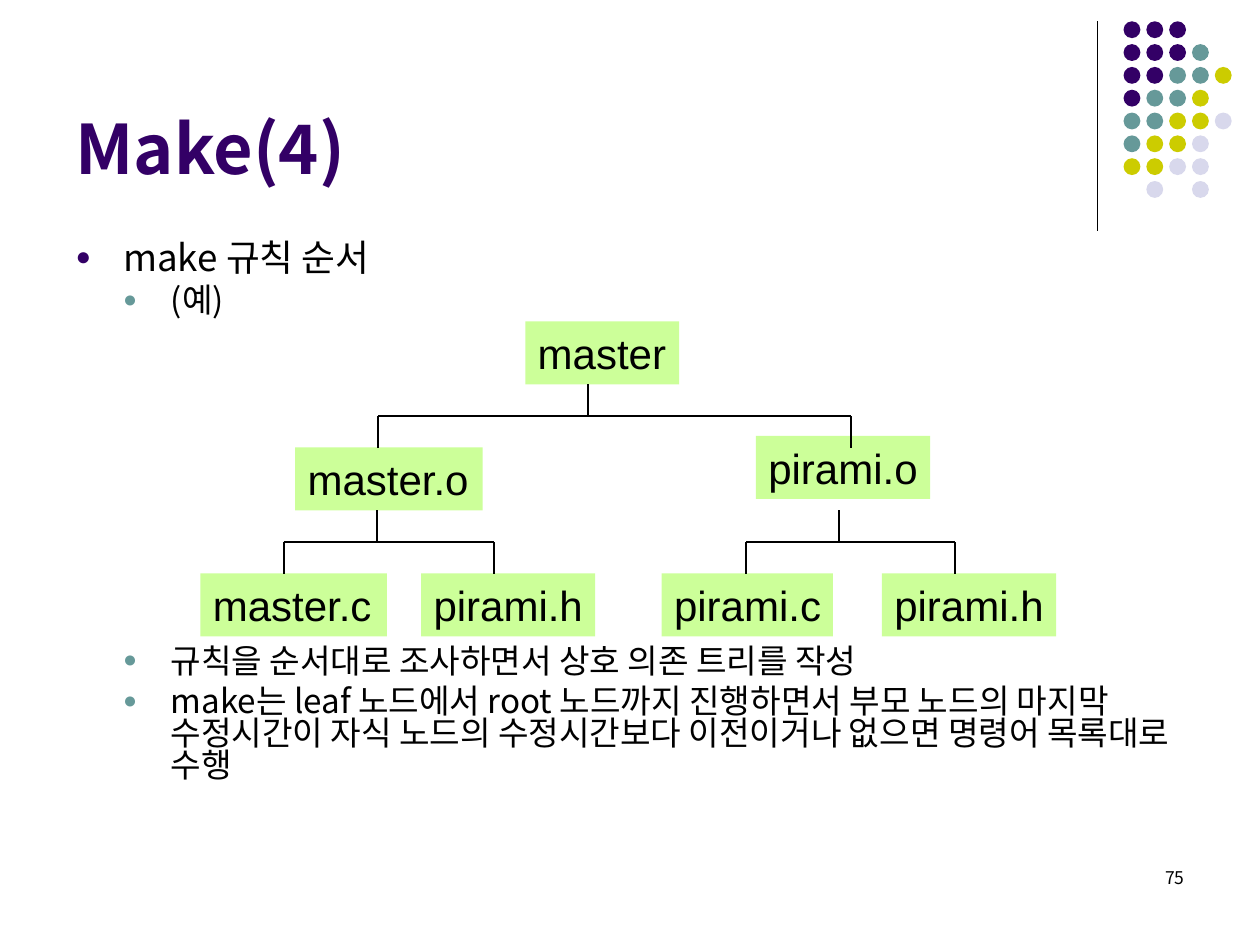
import pptx
import pptx.util
import pptx.dml.color
import pptx.enum.shapes
import pptx.enum.text
import pptx.oxml
import pptx.oxml.ns

Cm = pptx.util.Cm
Pt = pptx.util.Pt
ALIGN = pptx.enum.text.PP_ALIGN
ANCHOR = pptx.enum.text.MSO_ANCHOR
SHAPE = pptx.enum.shapes.MSO_SHAPE
KOREAN = "Noto Sans CJK KR"

COLORS = {
    "purple": "330066",
    "teal": "669999",
    "olive": "CCCC00",
    "lilac": "D8D8EC",
    "green": "CCFF99",
    "black": "000000",
}


def rgb(name):
    return pptx.dml.color.RGBColor.from_string(COLORS[name])


def add_child(parent, tag, **attrs):
    el = pptx.oxml.parse_xml(f"<a:{tag} {pptx.oxml.ns.nsdecls('a')}/>")
    for key, value in attrs.items():
        el.set(key, value)
    parent.append(el)
    return el


def write(p, text, size=19, font=KOREAN, color="black", bold=False, align=ALIGN.LEFT):
    p.alignment = align
    r = p.add_run()
    r.text = text
    r.font.size = Pt(size)
    r.font.bold = bold
    r.font.name = font
    r.font.color.rgb = rgb(color)
    add_child(r._r.get_or_add_rPr(), "ea", typeface=font)


def place(sp, x, y, w, h):
    sp.left, sp.top, sp.width, sp.height = Cm(x), Cm(y), Cm(w), Cm(h)


def add_line(s, x1, y1, x2, y2, width=1):
    line = s.shapes.add_connector(
        pptx.enum.shapes.MSO_CONNECTOR.STRAIGHT, Cm(x1), Cm(y1), Cm(x2), Cm(y2))
    line.line.color.rgb = rgb("black")
    line.line.width = Pt(width)
    add_child(line._element.spPr, "effectLst")


def add_filled(s, kind, x, y, w, h, color):
    sp = s.shapes.add_shape(kind, Cm(x), Cm(y), Cm(w), Cm(h))
    sp.shadow.inherit = False
    sp.fill.solid()
    sp.fill.fore_color.rgb = rgb(color)
    sp.line.fill.background()
    return sp


def add_ornament(s, x, y):
    add_line(s, x, y, x, y + 4.22, 0.75)
    rows = ["PPP", "PPPT", "PPTTO", "PTTO", "TTOOL", "TOOL", "OOLL", " L L"]
    names = {"P": "purple", "T": "teal", "O": "olive", "L": "lilac"}
    for i, row in enumerate(rows):
        for j, key in enumerate(row):
            if key in names:
                add_filled(s, SHAPE.OVAL, x + 0.53 + j * 0.46, y + i * 0.46,
                           0.34, 0.34, names[key])


def add_title(s, x, y, w, h):
    sp = s.shapes.title
    place(sp, x, y, w, h)
    tf = sp.text_frame
    tf.auto_size = pptx.enum.text.MSO_AUTO_SIZE.NONE
    tf.vertical_anchor = ANCHOR.BOTTOM
    write(tf.paragraphs[0], "Make(4)", size=39, color="purple", bold=True)


def add_body(s, x, y, w, h):
    sp = s.placeholders[1]
    place(sp, x, y, w, h)
    tf = sp.text_frame
    tf.auto_size = pptx.enum.text.MSO_AUTO_SIZE.NONE
    tf.vertical_anchor = ANCHOR.TOP
    items = [
        (0, 0, "make 규칙 순서"),
        (1, 4.8, "(예)"),
        (1, 188, "규칙을 순서대로 조사하면서 상호 의존 트리를 작성"),
        (1, 4.8, "make는 leaf 노드에서 root 노드까지 진행하면서 부모 노드의 마지막 "
                 "수정시간이 자식 노드의 수정시간보다 이전이거나 없으면 명령어 목록대로 수행"),
    ]
    for i, (level, gap, text) in enumerate(items):
        p = tf.add_paragraph() if i else tf.paragraphs[0]
        p.level = level
        pPr = p._p.get_or_add_pPr()
        pPr.set("marL", str(Cm(0.96 * (level + 1))))
        pPr.set("indent", str(-Cm(0.96)))
        add_child(add_child(pPr, "buClr"), "srgbClr", val=COLORS["teal" if level else "purple"])
        add_child(pPr, "buSzPct", val="70000")
        add_child(pPr, "buFont", typeface="Arial")
        add_child(pPr, "buChar", char="●")
        p.line_spacing = 0.8
        p.space_before = Pt(gap)
        write(p, text, size=19 if level else 21)


def add_tree(s, x, y):
    nodes = [
        ("master", 6.55, 0, 3.1),
        ("master.o", 1.91, 2.54, 3.78),
        ("pirami.o", 11.2, 2.31, 3.51),
        ("master.c", 0, 5.08, 3.76),
        ("pirami.h", 4.45, 5.08, 3.51),
        ("pirami.c", 9.3, 5.08, 3.45),
        ("pirami.h", 13.74, 5.08, 3.51),
    ]
    for text, dx, dy, w in nodes:
        sp = add_filled(s, SHAPE.RECTANGLE, x + dx, y + dy, w, 1.27, "green")
        tf = sp.text_frame
        tf.word_wrap = False
        tf.vertical_anchor = ANCHOR.TOP
        write(tf.paragraphs[0], text, size=24, font="Arial")

    drop = 0.64
    branches = [(7.82, 3.58, 13.11, 1.27), (3.56, 1.68, 5.92, 3.81), (12.88, 11, 15.21, 3.81)]
    for stem, left, right, dy in branches:
        top = y + dy
        bar = top + drop
        add_line(s, x + stem, top, x + stem, bar)
        add_line(s, x + left, bar, x + right, bar)
        for end in (left, right):
            add_line(s, x + end, bar, x + end, bar + drop)


def add_page_number(s, x, y, w, h):
    tf = s.shapes.add_textbox(Cm(x), Cm(y), Cm(w), Cm(h)).text_frame
    tf.word_wrap = True
    write(tf.paragraphs[0], "75", size=10, align=ALIGN.RIGHT)


def main():
    prs = pptx.Presentation()
    prs.slide_width, prs.slide_height = Cm(25.4), Cm(19.05)
    s = prs.slides.add_slide(prs.slide_layouts[1])
    add_ornament(s, 22.12, 0.43)
    add_page_number(s, 18.2, 17.35, 5.93, 1.27)
    add_title(s, 1.27, 0.33, 20.96, 3.6)
    add_body(s, 1.27, 4.78, 22.86, 12.24)
    add_tree(s, 4.04, 6.48)
    prs.save("out.pptx")


if __name__ == "__main__":
    main()
